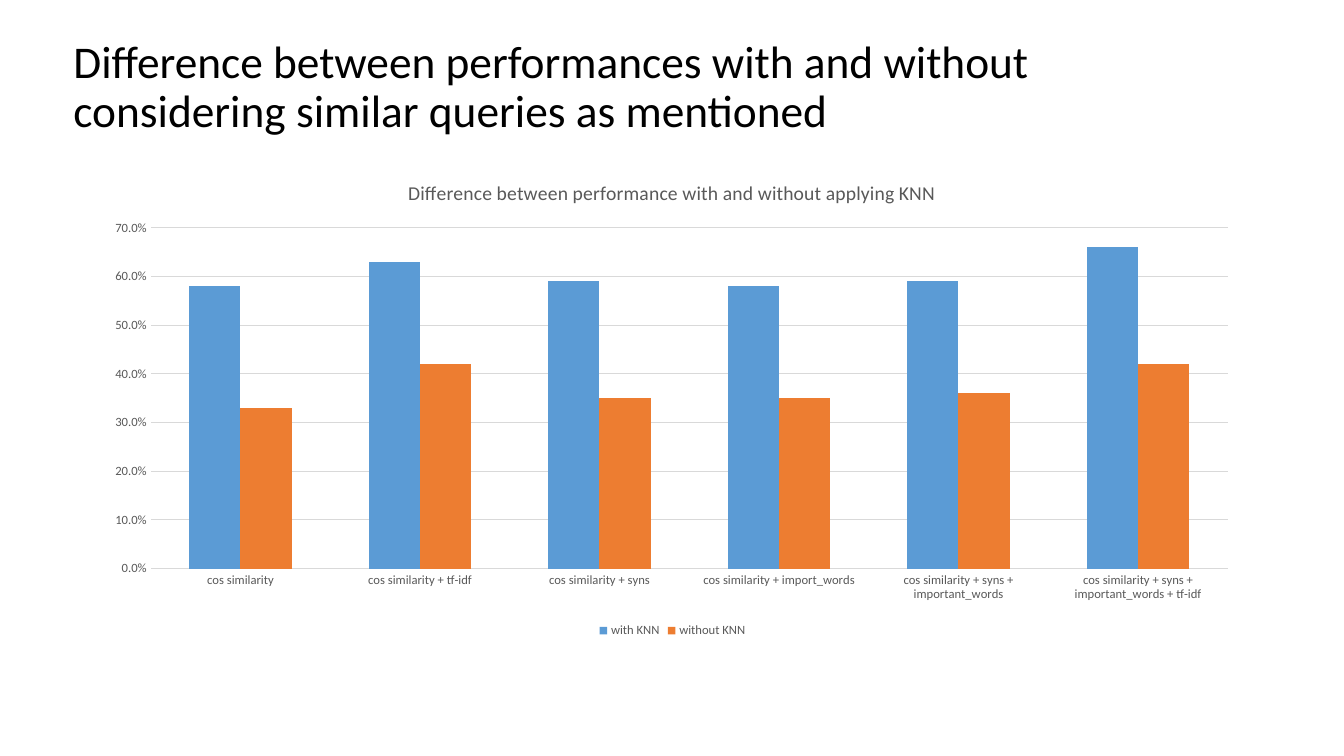
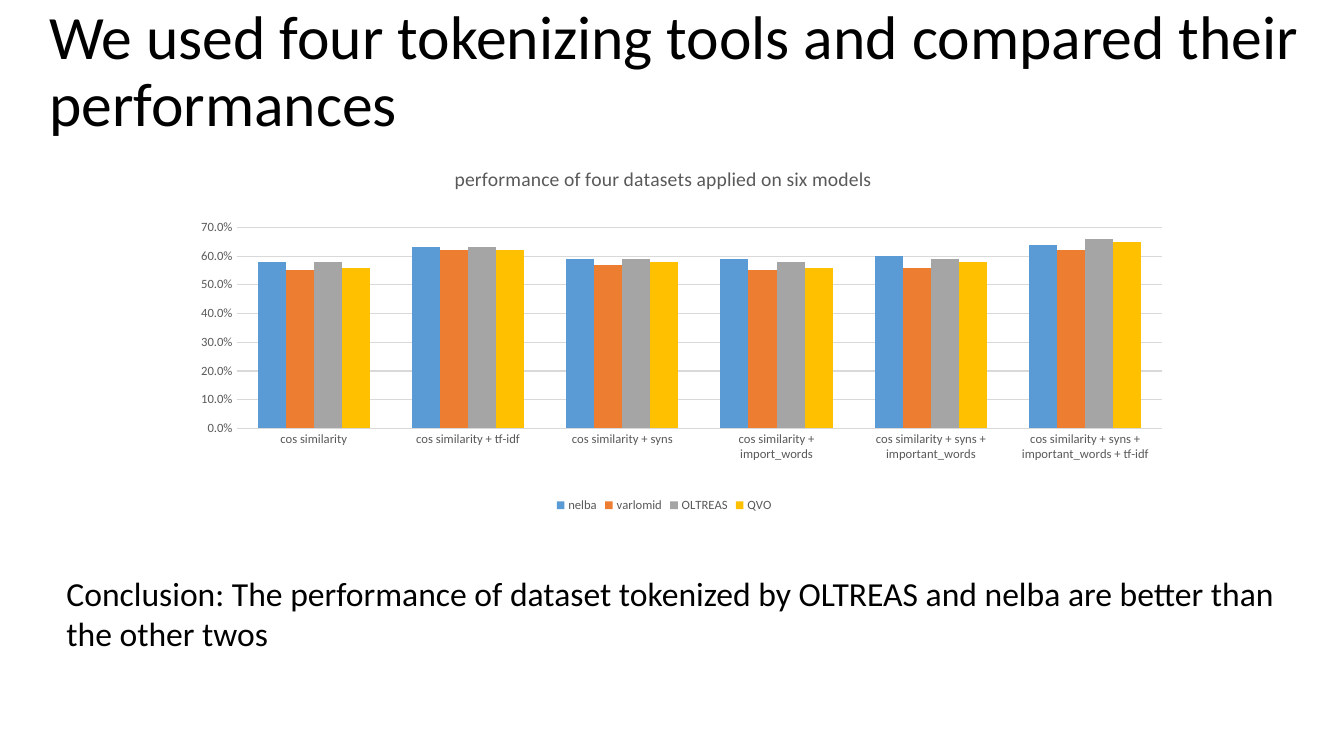
import pptx
import pptx.chart.data
import pptx.dml.color
import pptx.enum.chart
import pptx.enum.text
import pptx.oxml
import pptx.oxml.ns
import pptx.util
from dataclasses import dataclass


@dataclass(frozen=True)
class Theme:
    font: str = "Calibri"
    ink: str = "000000"
    muted: str = "595959"
    grid: str = "D9D9D9"
    series: tuple = ("5B9BD5", "ED7D31", "A5A5A5", "FFC000")
    title: float = 44
    long_title: float = 32.4
    body: float = 24
    chart_title: float = 14
    chart_text: float = 9
    title_spacing: float = 0.9


def rgb(value):
    return pptx.dml.color.RGBColor.from_string(value)


class Deck:
    """Holds the theme and the current slide; places are percent of the slide."""

    def __init__(self, theme):
        self.theme = theme
        self.show = pptx.Presentation()
        self.show.slide_width = pptx.util.Inches(13.33)
        self.show.slide_height = pptx.util.Inches(7.5)

    def new_slide(self):
        self.slide = self.show.slides.add_slide(self.show.slide_layouts[6])

    def place(self, left, top, width, height):
        across, down = self.show.slide_width / 100, self.show.slide_height / 100
        return [pptx.util.Emu(round(share * unit)) for share, unit in
                zip((left, top, width, height), (across, down, across, down))]

    def style(self, font, size, color):
        font.name = self.theme.font
        font.size = pptx.util.Pt(size)
        font.bold = False
        font.color.rgb = rgb(color)

    def text(self, words, at, size):
        frame = self.slide.shapes.add_textbox(*self.place(*at)).text_frame
        frame.word_wrap = True
        run = frame.paragraphs[0].add_run()
        run.text = words
        self.style(run.font, size, self.theme.ink)
        return frame

    def title(self, words, at, size, bottom_inset=0.05):
        frame = self.text(words, at, size)
        frame.vertical_anchor = pptx.enum.text.MSO_ANCHOR.MIDDLE
        frame.margin_bottom = pptx.util.Inches(bottom_inset)
        frame.paragraphs[0].line_spacing = self.theme.title_spacing

    def arrange(self, part, index, inner=False, **shares):
        """Fix the place of a chart part, in percent of the chart."""
        for old in part.findall(pptx.oxml.ns.qn("c:layout")):
            part.remove(old)
        target = '<c:layoutTarget val="inner"/>' if inner else ""
        modes = "".join(f'<c:{axis}Mode val="edge"/>' for axis in "xy")
        values = "".join(f'<c:{key} val="{share / 100:.4f}"/>'
                         for key, share in shares.items())
        part.insert(index, pptx.oxml.parse_xml(
            f'<c:layout {pptx.oxml.ns.nsdecls("c")}><c:manualLayout>'
            f'{target}{modes}{values}</c:manualLayout></c:layout>'))

    def columns(self, heading, categories, results, at, heading_at, plot_at,
                legend_at=None):
        theme = self.theme
        data = pptx.chart.data.CategoryChartData(number_format="0.0%")
        data.categories = categories
        for name, values in results.items():
            data.add_series(name, values)
        chart = self.slide.shapes.add_chart(
            pptx.enum.chart.XL_CHART_TYPE.COLUMN_CLUSTERED,
            *self.place(*at), data).chart
        self.style(chart.font, theme.chart_text, theme.muted)

        # Heading
        chart.has_title = True
        run = chart.chart_title.text_frame.paragraphs[0].add_run()
        run.text = heading
        self.style(run.font, theme.chart_title, theme.muted)
        self.arrange(chart.chart_title._element, 1, **heading_at)

        # Columns
        plot = chart.plots[0]
        plot.gap_width = 150
        plot.overlap = 0
        plot.vary_by_categories = False
        for series, color in zip(plot.series, theme.series):
            series.format.fill.solid()
            series.format.fill.fore_color.rgb = rgb(color)
        self.arrange(chart._chartSpace.chart.plotArea, 0, inner=True, **plot_at)

        # Axes
        for axis in (chart.category_axis, chart.value_axis):
            axis.major_tick_mark = pptx.enum.chart.XL_TICK_MARK.NONE
            axis.minor_tick_mark = pptx.enum.chart.XL_TICK_MARK.NONE
            axis.format.line.fill.background()
            self.style(axis.tick_labels.font, theme.chart_text, theme.muted)
        scale = chart.value_axis
        scale.minimum_scale, scale.maximum_scale = 0, 0.7
        scale.major_unit = 0.1
        scale.tick_labels.number_format = "0.0%"
        scale.tick_labels.number_format_is_linked = False
        scale.has_major_gridlines = True
        scale.major_gridlines.format.line.color.rgb = rgb(theme.grid)
        scale.major_gridlines.format.line.width = pptx.util.Pt(0.75)

        # Legend
        chart.has_legend = True
        chart.legend.position = pptx.enum.chart.XL_LEGEND_POSITION.BOTTOM
        chart.legend.include_in_layout = False
        self.style(chart.legend.font, theme.chart_text, theme.muted)
        if legend_at:
            self.arrange(chart.legend._element, 1, **legend_at)


theme = Theme()
deck = Deck(theme)
models = ["cos similarity"] + ["cos similarity + " + extra for extra in (
    "tf-idf", "syns", "import_words", "syns + important_words",
    "syns + important_words + tf-idf")]

# Similar queries
deck.new_slide()
deck.title("Difference between performances with and without considering "
           "similar queries as mentioned",
           (4.73, 5.07, 88.45, 21.6), theme.long_title, bottom_inset=0.68)
deck.columns(
    "Difference between performance with and without applying KNN", models,
    {"with KNN": (0.58, 0.63, 0.59, 0.58, 0.59, 0.66),
     "without KNN": (0.33, 0.42, 0.35, 0.35, 0.36, 0.42)},
    at=(6.9, 21.47, 86.27, 63.47),
    heading_at=dict(x=26.9, y=2.7),
    plot_at=dict(x=5, y=13.7, w=92.9, h=71))

# Tokenizing tools
deck.new_slide()
deck.title("We used four tokenizing tools and compared their performances",
           (2.93, 0, 97.07, 19.33), theme.title)
deck.columns(
    "performance of four datasets applied on six models", models,
    {"nelba": (0.58, 0.63, 0.59, 0.59, 0.6, 0.64),
     "varlomid": (0.55, 0.62, 0.57, 0.55, 0.56, 0.62),
     "OLTREAS": (0.58, 0.63, 0.59, 0.58, 0.59, 0.66),
     "QVO": (0.56, 0.62, 0.58, 0.56, 0.58, 0.65)},
    at=(11.55, 19.33, 75.62, 72.13),
    heading_at=dict(x=29.1, y=2.9),
    plot_at=dict(x=8, y=14.9, w=91.1, h=36.9),
    legend_at=dict(x=39.1, y=63.8))
deck.text("Conclusion: The performance of dataset tokenized by OLTREAS and "
          "nelba are better than the other twos",
          (4.2, 75.07, 94.45, 12.13), theme.body)

deck.show.save("out.pptx")
